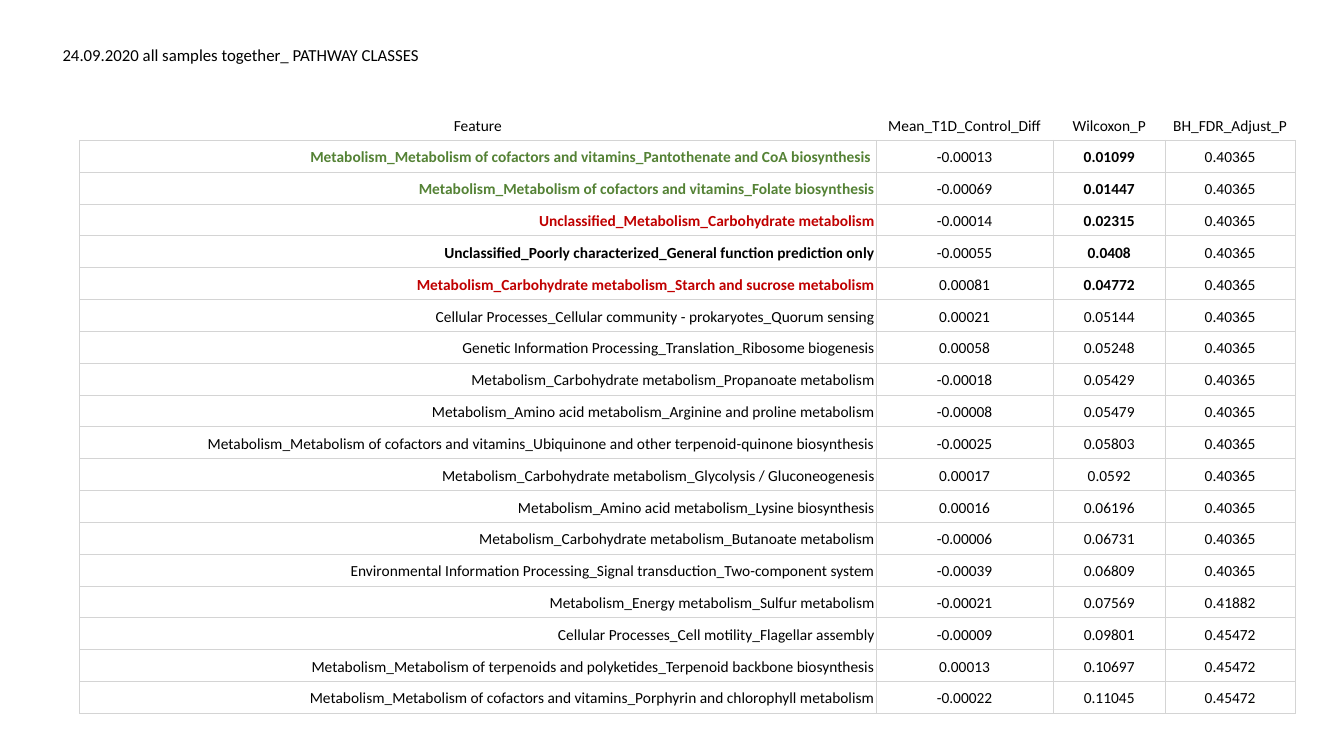
from lxml import etree
from pptx import Presentation
from pptx.dml.color import RGBColor
from pptx.enum import text
from pptx.oxml import ns
from pptx.util import Pt

HUES = {"ink": "000000", "green": "548235", "red": "C00000", "grid": "D4D4D4"}
PLAIN = "{2D5ABB26-0587-4C30-8999-92F81FD0307C}"
WIDTHS = [568.8, 126.72, 79.92, 92.88]
HEAD = ["Feature", "Mean_T1D_Control_Diff", "Wilcoxon_P", "BH_FDR_Adjust_P"]
TINTS = ["green", "green", "red", "ink", "red"]
ROWS = [
    ["Metabolism_Metabolism of cofactors and vitamins_Pantothenate and CoA biosynthesis ", "-0.00013", "0.01099", "0.40365"],
    ["Metabolism_Metabolism of cofactors and vitamins_Folate biosynthesis", "-0.00069", "0.01447", "0.40365"],
    ["Unclassified_Metabolism_Carbohydrate metabolism", "-0.00014", "0.02315", "0.40365"],
    ["Unclassified_Poorly characterized_General function prediction only", "-0.00055", "0.0408", "0.40365"],
    ["Metabolism_Carbohydrate metabolism_Starch and sucrose metabolism", "0.00081", "0.04772", "0.40365"],
    ["Cellular Processes_Cellular community - prokaryotes_Quorum sensing", "0.00021", "0.05144", "0.40365"],
    ["Genetic Information Processing_Translation_Ribosome biogenesis", "0.00058", "0.05248", "0.40365"],
    ["Metabolism_Carbohydrate metabolism_Propanoate metabolism", "-0.00018", "0.05429", "0.40365"],
    ["Metabolism_Amino acid metabolism_Arginine and proline metabolism", "-0.00008", "0.05479", "0.40365"],
    ["Metabolism_Metabolism of cofactors and vitamins_Ubiquinone and other terpenoid-quinone biosynthesis", "-0.00025", "0.05803", "0.40365"],
    ["Metabolism_Carbohydrate metabolism_Glycolysis / Gluconeogenesis", "0.00017", "0.0592", "0.40365"],
    ["Metabolism_Amino acid metabolism_Lysine biosynthesis", "0.00016", "0.06196", "0.40365"],
    ["Metabolism_Carbohydrate metabolism_Butanoate metabolism", "-0.00006", "0.06731", "0.40365"],
    ["Environmental Information Processing_Signal transduction_Two-component system", "-0.00039", "0.06809", "0.40365"],
    ["Metabolism_Energy metabolism_Sulfur metabolism", "-0.00021", "0.07569", "0.41882"],
    ["Cellular Processes_Cell motility_Flagellar assembly", "-0.00009", "0.09801", "0.45472"],
    ["Metabolism_Metabolism of terpenoids and polyketides_Terpenoid backbone biosynthesis", "0.00013", "0.10697", "0.45472"],
    ["Metabolism_Metabolism of cofactors and vitamins_Porphyrin and chlorophyll metabolism", "-0.00022", "0.11045", "0.45472"],
]


class Sheet:
    face = "Calibri"

    def __init__(self, deck):
        self.slide = deck.slides.add_slide(deck.slide_layouts[5])

    def style(self, para, size, align, hue="ink", bold=False):
        para.alignment = align
        font = para.font
        font.name, font.size, font.bold = self.face, Pt(size), bold
        font.color.rgb = RGBColor.from_string(HUES[hue])

    def title(self, words, left, top, width, height):
        box = self.slide.shapes.title
        box.left, box.top, box.width, box.height = map(Pt, (left, top, width, height))
        frame = box.text_frame
        frame.text = words
        frame.word_wrap = True
        frame.auto_size = text.MSO_AUTO_SIZE.NONE
        frame.vertical_anchor = text.MSO_ANCHOR.TOP
        self.style(frame.paragraphs[0], 12, text.PP_ALIGN.LEFT)

    def border(self, cell, sides):
        props = cell._tc.get_or_add_tcPr()
        for side in sides:
            line = etree.SubElement(props, ns.qn(f"a:ln{side}"), w=str(Pt(0.6)))
            fill = etree.SubElement(line, ns.qn("a:solidFill"))
            etree.SubElement(fill, ns.qn("a:srgbClr"), val=HUES["grid"])

    def cell(self, cell, words, align, hue, bold, sides):
        cell.text = words
        cell.margin_left = cell.margin_right = cell.margin_top = Pt(0.72)
        cell.margin_bottom = Pt(3.6)
        cell.vertical_anchor = text.MSO_ANCHOR.BOTTOM
        self.style(cell.text_frame.paragraphs[0], 11, align, hue, bold)
        self.border(cell, sides)
        cell.fill.background()

    def table(self, left, top, head, step):
        rows = [HEAD] + ROWS
        high = head + step * len(ROWS)
        frame = self.slide.shapes.add_table(
            len(rows), len(HEAD), Pt(left), Pt(top), Pt(sum(WIDTHS)), Pt(high))
        grid = frame.table
        grid.first_row = grid.horz_banding = False
        grid._tbl.tblPr.find(ns.qn("a:tableStyleId")).text = PLAIN
        for col, width in zip(grid.columns, WIDTHS):
            col.width = Pt(width)
        for r, row in enumerate(rows):
            grid.rows[r].height = Pt(step if r else head)
            key = 1 <= r <= len(TINTS)
            for c, words in enumerate(row):
                right = r > 0 and c == 0
                align = text.PP_ALIGN.RIGHT if right else text.PP_ALIGN.CENTER
                hue = TINTS[r - 1] if key and c == 0 else "ink"
                self.cell(grid.cell(r, c), words, align, hue,
                          key and c in (0, 2), "LRTB" if r else "B")


def main():
    deck = Presentation()
    deck.slide_width, deck.slide_height = Pt(960), Pt(540)
    sheet = Sheet(deck)
    sheet.table(56.88, 59.76, 40.5, 22.75)
    sheet.title("24.09.2020 all samples together_ PATHWAY CLASSES", 37.44, 28.08, 326.88, 21.6)
    deck.save("out.pptx")


if __name__ == "__main__":
    main()
